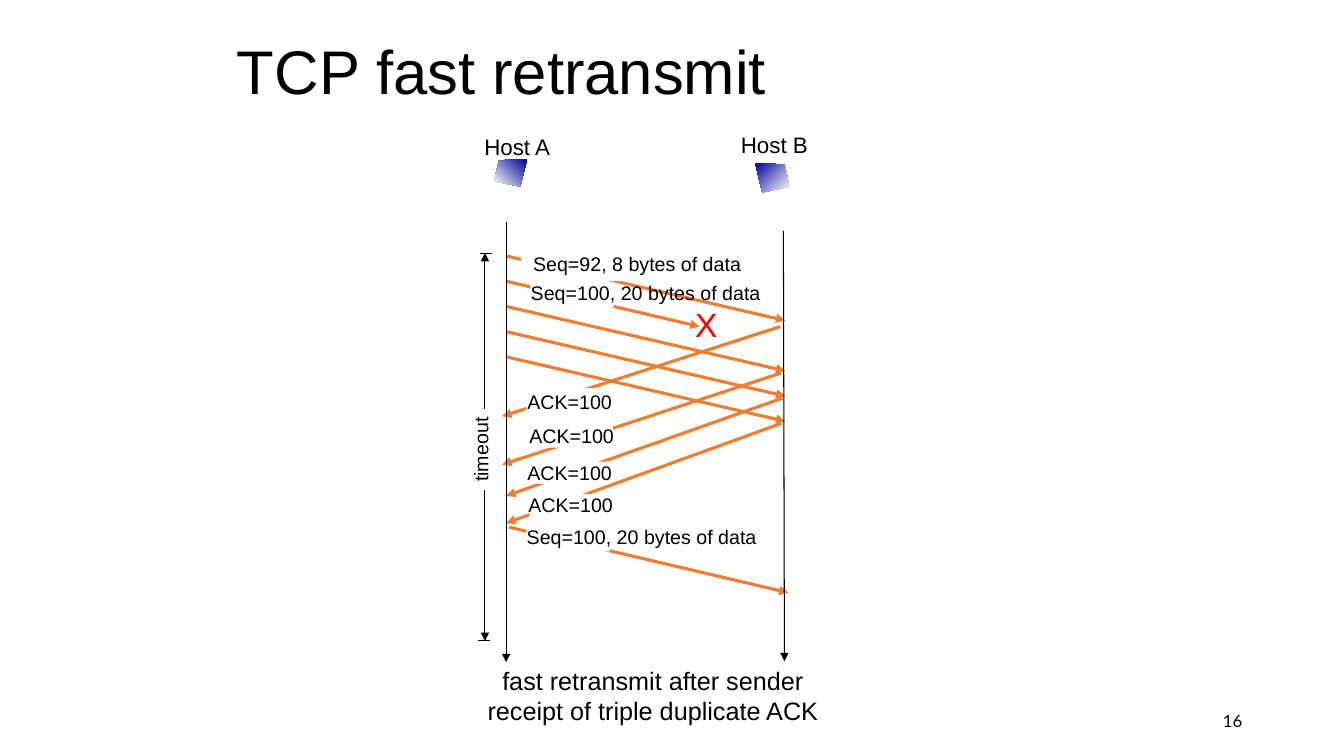
"""Build the TCP fast retransmit sequence diagram slide."""
from pptx import Presentation
from pptx.dml.color import RGBColor
from pptx.enum.shapes import MSO_CONNECTOR as Connector, MSO_SHAPE as Preset
from pptx.enum.text import MSO_ANCHOR as Anchor, MSO_AUTO_SIZE as AutoSize, PP_ALIGN as Align
from pptx.oxml.ns import qn
from pptx.util import Inches, Pt
from lxml.etree import SubElement

TITLE = "TCP fast retransmit"
CAPTION = ["fast retransmit after sender", "receipt of triple duplicate ACK"]
PAGE_NUMBER = "16"
RESENT = "Seq=100, 20 bytes of data"
ACK = "ACK=100"

HOST_LABELS = [
    ("Host A", (4.7, 1.27, 0.86, 0.37)),
    ("Host B", (7.24, 1.25, 0.88, 0.37)),
]
HOST_ICONS = [
    ([(5.23, 1.58), (4.95, 1.59), (4.9, 1.8), (5.16, 1.85)], 225),
    ([(7.49, 1.62), (7.78, 1.63), (7.83, 1.85), (7.56, 1.91)], 315),
]
TIMELINES = [((5.02, 2.2), (5.02, 6.57)), ((7.77, 2.29), (7.78, 6.56))]
SEGMENT_COUNT, SEGMENT_GAP = 5, 0.25
LOST_SEGMENT, LOST_END = 1, (6.94, 3.24)
ACK_ARROWS = [
    ((7.74, 3.24), (4.98, 4.13)),
    ((7.75, 3.7), (4.98, 4.61)),
    ((7.76, 3.95), (5.02, 4.92)),
    ((7.75, 4.2), (5.02, 5.19)),
]
RESENT_ARROW = ((5.05, 5.23), (7.82, 5.88))
TIMEOUT_ARROWS = [((4.81, 4.06), (4.81, 2.51)), ((4.81, 4.86), (4.81, 6.36))]
TIMEOUT_ENDS = [((4.76, 2.52), (4.88, 2.52)), ((4.74, 6.35), (4.86, 6.35))]
MESSAGES = [
    ("Seq=92, 8 bytes of data", (5.17, 2.45, 2.3, 0.34), (5.17, 2.45, 2.3, 0.34)),
    (ACK, (5.13, 3.82, 1.04, 0.33), (5.22, 3.85, 0.82, 0.27)),
    (ACK, (5.15, 4.16, 1.04, 0.33), (5.26, 4.22, 0.82, 0.22)),
    (ACK, (5.13, 4.52, 1.04, 0.33), (5.24, 4.58, 0.82, 0.22)),
    (ACK, (5.14, 4.84, 1.04, 0.33), (5.25, 4.9, 0.82, 0.22)),
    (RESENT, (5.16, 2.74, 2.49, 0.33), (5.26, 2.8, 0.83, 0.25)),
    (RESENT, (5.12, 5.16, 2.49, 0.33), (5.22, 5.22, 0.83, 0.25)),
]

THEME = {
    "ink": RGBColor.from_string("000000"),
    "paper": RGBColor.from_string("FFFFFF"),
    "packet": RGBColor.from_string("ED7D31"),
    "loss": RGBColor.from_string("FF0000"),
    "host": RGBColor.from_string("000099"),
    "font": "Arial",
    "number_font": "Lato",
    "title": 44, "mark": 24, "caption": 18, "host_label": 16, "message": 14, "number": 12,
    "packet_line": 2.25, "axis_line": 0.75,
}


def set_attributes(target, values):
    for name, value in values.items():
        setattr(target, name, value)


def write(shape, lines, size, color="ink", font="font", align=Align.CENTER,
          anchor=Anchor.TOP, wrap=False, spacing=1.0):
    frame = shape.text_frame
    frame.text = "\n".join(lines)
    set_attributes(frame, {"word_wrap": wrap, "auto_size": AutoSize.NONE,
                           "vertical_anchor": anchor})
    for paragraph in frame.paragraphs:
        set_attributes(paragraph, {"alignment": align, "line_spacing": spacing})
        for run in paragraph.runs:
            set_attributes(run.font, {"name": THEME[font], "size": Pt(THEME[size])})
            run.font.color.rgb = THEME[color]


def add_text(slide, box, lines, size, **options):
    shape = slide.shapes.add_textbox(*map(Inches, box))
    write(shape, lines, size, **options)
    return shape


def add_line(slide, ends, color="ink", width="axis_line", arrow=True):
    start, end = ends
    connector = slide.shapes.add_connector(Connector.STRAIGHT, *map(Inches, start + end))
    connector.line.color.rgb = THEME[color]
    connector.line.width = Pt(THEME[width])
    if arrow:
        SubElement(connector.line._get_or_add_ln(), qn("a:tailEnd"), type="triangle")
    SubElement(connector._element.spPr, qn("a:effectLst"))


def add_message(slide, text, box, mask):
    shape = slide.shapes.add_shape(Preset.RECTANGLE, *map(Inches, mask))
    shape.shadow.inherit = False
    shape.fill.solid()
    shape.fill.fore_color.rgb = THEME["paper"]
    shape.line.fill.background()
    add_text(slide, box, [text], "message")


def add_host_icon(slide, corners, angle):
    points = [(Inches(x), Inches(y)) for x, y in corners]
    builder = slide.shapes.build_freeform(*points[0])
    builder.add_line_segments(points[1:], close=True)
    shape = builder.convert_to_shape()
    shape.shadow.inherit = False
    shape.line.fill.background()
    shape.fill.gradient()
    shape.fill.gradient_angle = angle
    for stop, color, position in zip(shape.fill.gradient_stops, ("host", "paper"), (0, 1)):
        stop.color.rgb = THEME[color]
        stop.position = position


def segment_arrows():
    for index in range(SEGMENT_COUNT):
        drop = index * SEGMENT_GAP
        end = LOST_END if index == LOST_SEGMENT else (7.79, 3.18 + drop)
        yield (5.02, 2.54 + drop), end


def main():
    presentation = Presentation()
    set_attributes(presentation, {"slide_width": Inches(13.33), "slide_height": Inches(7.5)})
    slide = presentation.slides.add_slide(presentation.slide_layouts[5])

    title = slide.shapes.title
    set_attributes(title, {"left": Inches(2.25), "top": Inches(0.24),
                           "width": Inches(5.51), "height": Inches(0.99)})
    write(title, [TITLE], "title", align=Align.LEFT, anchor=Anchor.MIDDLE,
          wrap=True, spacing=0.9)

    for ends in [*segment_arrows(), *ACK_ARROWS, RESENT_ARROW]:
        add_line(slide, ends, "packet", "packet_line")
    for ends in TIMELINES + TIMEOUT_ARROWS:
        add_line(slide, ends)
    for ends in TIMEOUT_ENDS:
        add_line(slide, ends, arrow=False)

    for message in MESSAGES:
        add_message(slide, *message)
    for label, box in HOST_LABELS:
        add_text(slide, box, [label], "host_label")
    for corners, angle in HOST_ICONS:
        add_host_icon(slide, corners, angle)

    timeout = add_text(slide, (4.6, 4.09, 0.44, 0.74), ["timeout"], "message")
    timeout.text_frame._txBody.bodyPr.set("vert", "vert270")
    add_text(slide, (6.85, 2.97, 0.31, 0.5), ["X"], "mark", color="loss")
    add_text(slide, (4.72, 6.55, 3.51, 0.71), CAPTION, "caption")
    add_text(slide, (9.42, 6.95, 3, 0.4), [PAGE_NUMBER], "number", font="number_font",
             align=Align.RIGHT, anchor=Anchor.MIDDLE, wrap=True)
    presentation.save("out.pptx")


if __name__ == "__main__":
    main()
